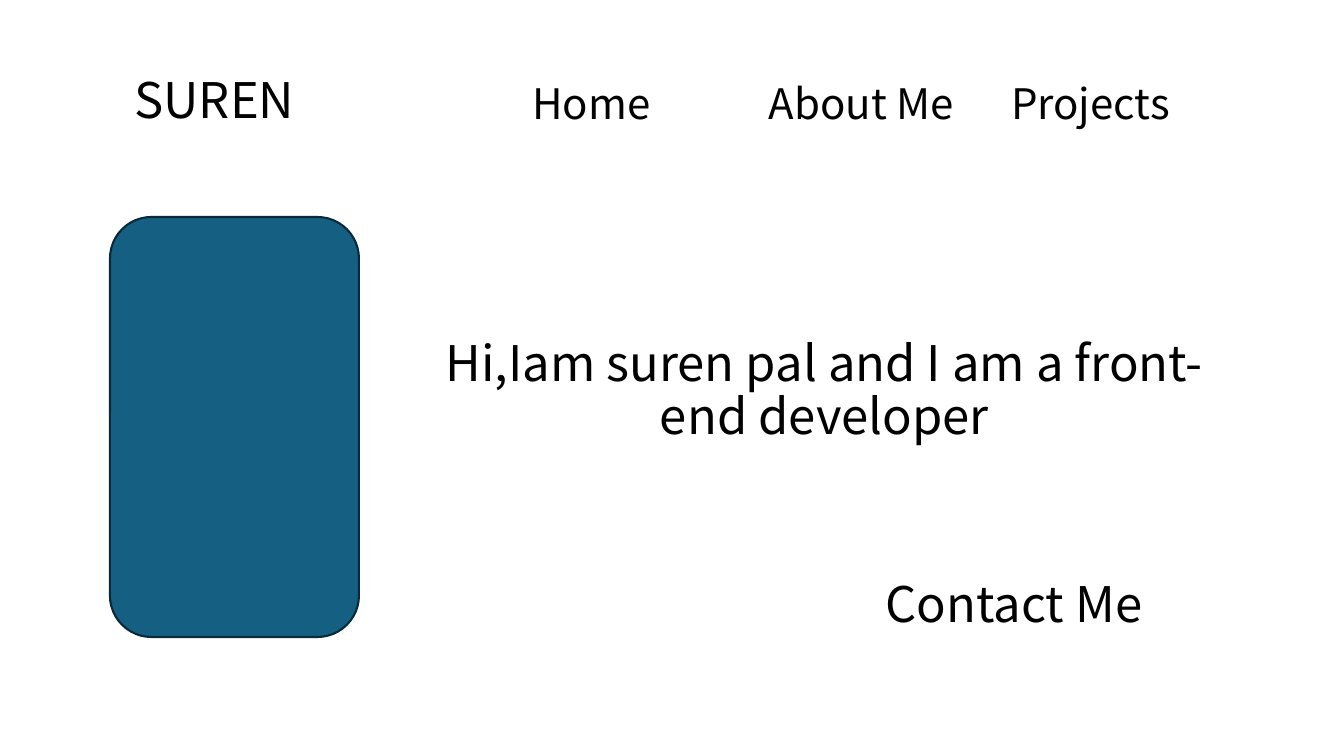
from pptx import Presentation, util as u
from pptx.dml.color import RGBColor
from pptx.enum import shapes, text

COLORS = {"ink": "000000", "paper": "FFFFFF", "panel": "156082", "panel_edge": "092A39"}
FONT = "Noto Sans CJK JP"
SLIDE_SIZE = (1344, 756)
MENU_SIZE = (209, 134)
MENU = [("Home", 487, 30), ("SUREN", 110, 35), ("About Me", 757, 30), ("Projects", 986, 30)]
INTRO = ("Hi,Iam suren pal and I am a front-end developer", (416, 334, 817, 303))
CONTACT = ("Contact Me", (862, 575, 304, 62))
PANEL = (110, 217, 249, 420)
MENU_PARA = {"alignment": text.PP_ALIGN.CENTER, "line_spacing": 0.9}
BODY_PARA = {**MENU_PARA, "space_before": u.Pt(10)}
EMU_PER_PX = 914400 / 100.8


def px(*lengths):
    return [u.Emu(round(length * EMU_PER_PX)) for length in lengths]


def color(name):
    return RGBColor.from_string(COLORS[name])


def apply(target, values):
    for name, value in values.items():
        setattr(target, name, value)


def write(box, words, size, anchor, para_format):
    frame = box.text_frame
    apply(frame, {"word_wrap": True, "vertical_anchor": anchor})
    para = frame.paragraphs[0]
    apply(para, para_format)
    span = para.add_run()
    span.text = words
    apply(span.font, {"name": FONT, "size": u.Pt(size)})
    span.font.color.rgb = color("ink")


def add_filled(page, kind, place, fill):
    shape = page.shapes.add_shape(kind, *px(*place))
    shape.shadow.inherit = False
    shape.fill.solid()
    shape.fill.fore_color.rgb = color(fill)
    return shape


def main():
    deck = Presentation()
    deck.slide_width, deck.slide_height = px(*SLIDE_SIZE)
    page = deck.slides.add_slide(deck.slide_layouts[6])

    for words, left, size in MENU:
        box = page.shapes.add_textbox(*px(left, 0, *MENU_SIZE))
        write(box, words, size, text.MSO_ANCHOR.BOTTOM, MENU_PARA)

    words, place = INTRO
    box = page.shapes.add_textbox(*px(*place))
    write(box, words, 35, text.MSO_ANCHOR.TOP, BODY_PARA)

    words, place = CONTACT
    button = add_filled(page, shapes.MSO_SHAPE.RECTANGLE, place, "paper")
    button.line.fill.background()
    write(button, words, 35, text.MSO_ANCHOR.TOP, BODY_PARA)

    panel = add_filled(page, shapes.MSO_SHAPE.ROUNDED_RECTANGLE, PANEL, "panel")
    panel.line.color.rgb = color("panel_edge")
    panel.line.width = u.Pt(1.5)

    deck.save("out.pptx")


if __name__ == "__main__":
    main()
